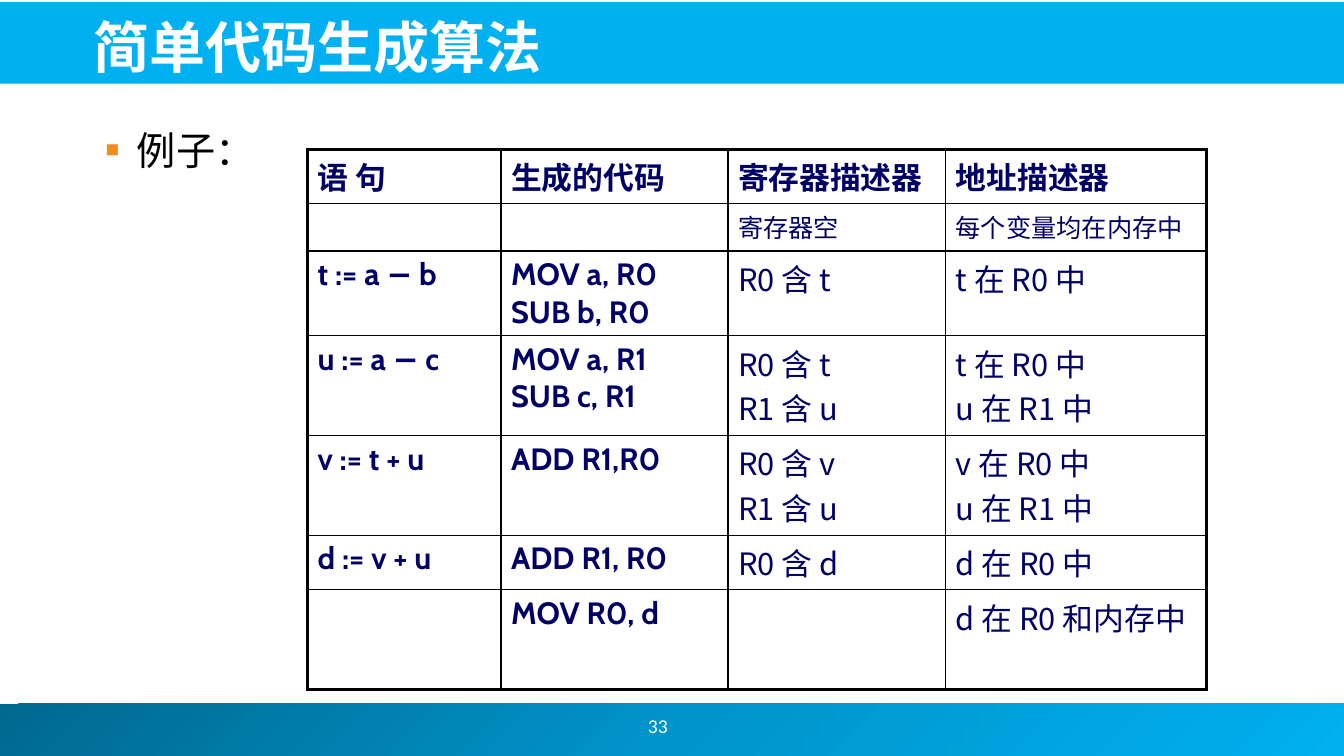
import copy
import pptx
import pptx.dml.color
import pptx.enum.shapes
import pptx.enum.text
import pptx.oxml
import pptx.oxml.ns
import pptx.util

Inches = pptx.util.Inches
Pt = pptx.util.Pt
ALIGN = pptx.enum.text.PP_ALIGN
ANCHOR = pptx.enum.text.MSO_ANCHOR

COLORS = {
    "white": "FFFFFF",
    "black": "000000",
    "sky": "00B0F0",
    "ocean": "0094CA",
    "deep": "00688E",
    "navy": "000066",
    "orange": "EF8E1C",
}
LATIN = "Cabin"
CHINESE = "Noto Sans CJK SC"
COLUMN_WIDTHS = [1.92, 2.25, 2.16, 2.59]
ROW_HEIGHTS = [0.54, 0.47, 0.84, 0.99, 0.99, 0.54, 0.99]
ROWS = [
    ["语 句", "生成的代码", "寄存器描述器", "地址描述器"],
    ["", "", "寄存器空", "每个变量均在内存中"],
    ["t := a − b", "MOV a, R0\nSUB b, R0", "R0 含 t", "t 在 R0 中"],
    ["u := a − c", "MOV a, R1\nSUB c, R1", "R0 含 t\nR1 含 u", "t 在 R0 中\nu 在 R1 中"],
    ["v := t + u", "ADD R1,R0", "R0 含 v\nR1 含 u", "v 在 R0 中\nu 在 R1 中"],
    ["d := v + u", "ADD R1, R0", "R0 含 d", "d 在 R0 中"],
    ["", "MOV R0, d", "", "d 在 R0 和内存中"],
]


def color(name):
    return pptx.dml.color.RGBColor.from_string(COLORS[name])


def drawing(markup):
    head, tail = markup.split(" ", 1)
    return pptx.oxml.parse_xml(f'{head} {pptx.oxml.ns.nsdecls("a")} {tail}')


def write(frame, text, size, font, ink, bold=False, align=ALIGN.LEFT,
          asian=CHINESE, anchor=None):
    frame.word_wrap = True
    if anchor is not None:
        frame.vertical_anchor = anchor
    for index, line in enumerate(text.split("\n")):
        para = frame.paragraphs[0] if index == 0 else frame.add_paragraph()
        para.alignment = align
        span = para.add_run()
        span.text = line
        span.font.size = Pt(size)
        span.font.name = font
        span.font.bold = bold
        span.font.color.rgb = color(ink)
        latin = span.font._element.find(pptx.oxml.ns.qn("a:latin"))
        latin.addnext(drawing(f'<a:ea typeface="{asian}"/>'))


def add_bar(page, box):
    bar = page.shapes.add_shape(pptx.enum.shapes.MSO_SHAPE.RECTANGLE, *map(Inches, box))
    bar.shadow.inherit = False
    bar.line.fill.background()
    return bar


def add_header(page, box, text):
    left, top, width, height = box
    bar = add_bar(page, box)
    bar.fill.solid()
    bar.fill.fore_color.rgb = color("sky")
    title = page.shapes.title
    title.left, title.top = Inches(left + 0.85), Inches(top + 0.03)
    title.width, title.height = Inches(width - 1.3), Inches(height - 0.02)
    title.text_frame.auto_size = pptx.enum.text.MSO_AUTO_SIZE.NONE
    write(title.text_frame, text, 40, "Noto Sans CJK JP", "white", bold=True,
          asian="Noto Sans CJK JP", anchor=ANCHOR.BOTTOM)
    bar.element.addnext(title.element)


def add_footer(page, box, number):
    left, top, width, height = box
    bar = add_bar(page, box)
    bar.fill.gradient()
    bar.fill.gradient_angle = 315
    first = bar.element.spPr.find(".//" + pptx.oxml.ns.qn("a:gs"))
    first.addnext(copy.deepcopy(first))
    stops = bar.fill.gradient_stops
    for stop, position, name in zip(stops, (0, 0.5, 1), ("deep", "ocean", "sky")):
        stop.position = position
        stop.color.rgb = color(name)
    label = page.shapes.add_textbox(Inches(left + 5.13), Inches(top - 0.03),
                                    Inches(2.89), Inches(0.5))
    write(label.text_frame, number, 14, "Calibri", "white",
          align=ALIGN.CENTER, anchor=ANCHOR.MIDDLE)


def add_bullet(page, box, text):
    label = page.shapes.add_textbox(*map(Inches, box))
    write(label.text_frame, text, 28, LATIN, "black")
    properties = label.text_frame.paragraphs[0]._p.get_or_add_pPr()
    properties.set("marL", str(Inches(0.81)))
    properties.set("indent", str(Inches(-0.31)))
    for markup in (
        f'<a:buClr ><a:srgbClr val="{COLORS["orange"]}"/></a:buClr>',
        '<a:buSzPct val="35000"/>',
        f'<a:buFont typeface="{CHINESE}"/>',
        '<a:buChar char="■"/>',
    ):
        properties.append(drawing(markup))


def add_borders(cell, row, column):
    outer = {
        "lnL": column == 0,
        "lnR": column == len(COLUMN_WIDTHS) - 1,
        "lnT": row == 0,
        "lnB": row == len(ROWS) - 1,
    }
    properties = cell._tc.get_or_add_tcPr()
    for index, (side, is_outer) in enumerate(outer.items()):
        width = Pt(2.25 if is_outer else 1)
        properties.insert(index, drawing(
            f'<a:{side} w="{width}"><a:solidFill><a:srgbClr val="{COLORS["black"]}"/>'
            f'</a:solidFill></a:{side}>'))


def cell_format(row, column):
    if row == 0:
        return dict(size=22, font=CHINESE, bold=True)
    if row == 1:
        return dict(size=18, font=CHINESE)
    is_code = column < 2
    justified = column == 1 or (column == 3 and row > 2)
    return dict(size=22, font=LATIN if is_code else CHINESE, bold=is_code,
                align=ALIGN.JUSTIFY if justified else ALIGN.LEFT)


def add_code_table(page, left, top):
    frame = page.shapes.add_table(
        len(ROWS), len(COLUMN_WIDTHS), Inches(left), Inches(top),
        Inches(sum(COLUMN_WIDTHS)), Inches(sum(ROW_HEIGHTS)))
    table = frame.table
    table.first_row = False
    table.horz_banding = False
    for column, width in zip(table.columns, COLUMN_WIDTHS):
        column.width = Inches(width)
    for row, height in zip(table.rows, ROW_HEIGHTS):
        row.height = Inches(height)
    for row, texts in enumerate(ROWS):
        for column, text in enumerate(texts):
            cell = table.cell(row, column)
            cell.fill.solid()
            cell.fill.fore_color.rgb = color("white")
            add_borders(cell, row, column)
            if text:
                write(cell.text_frame, text, ink="navy", **cell_format(row, column))


def main():
    deck = pptx.Presentation()
    deck.slide_width, deck.slide_height = Inches(13.33), Inches(7.5)
    page = deck.slides.add_slide(deck.slide_layouts.get_by_name("Title Only"))
    add_footer(page, (-0.05, 6.98, 13.39, 0.52), "33")
    add_header(page, (-0.02, 0.02, 13.36, 0.81), "简单代码生成算法")
    add_bullet(page, (0.45, 1.2, 2.19, 0.67), "例子：")
    add_code_table(page, 3.05, 1.48)
    deck.save("out.pptx")


if __name__ == "__main__":
    main()
